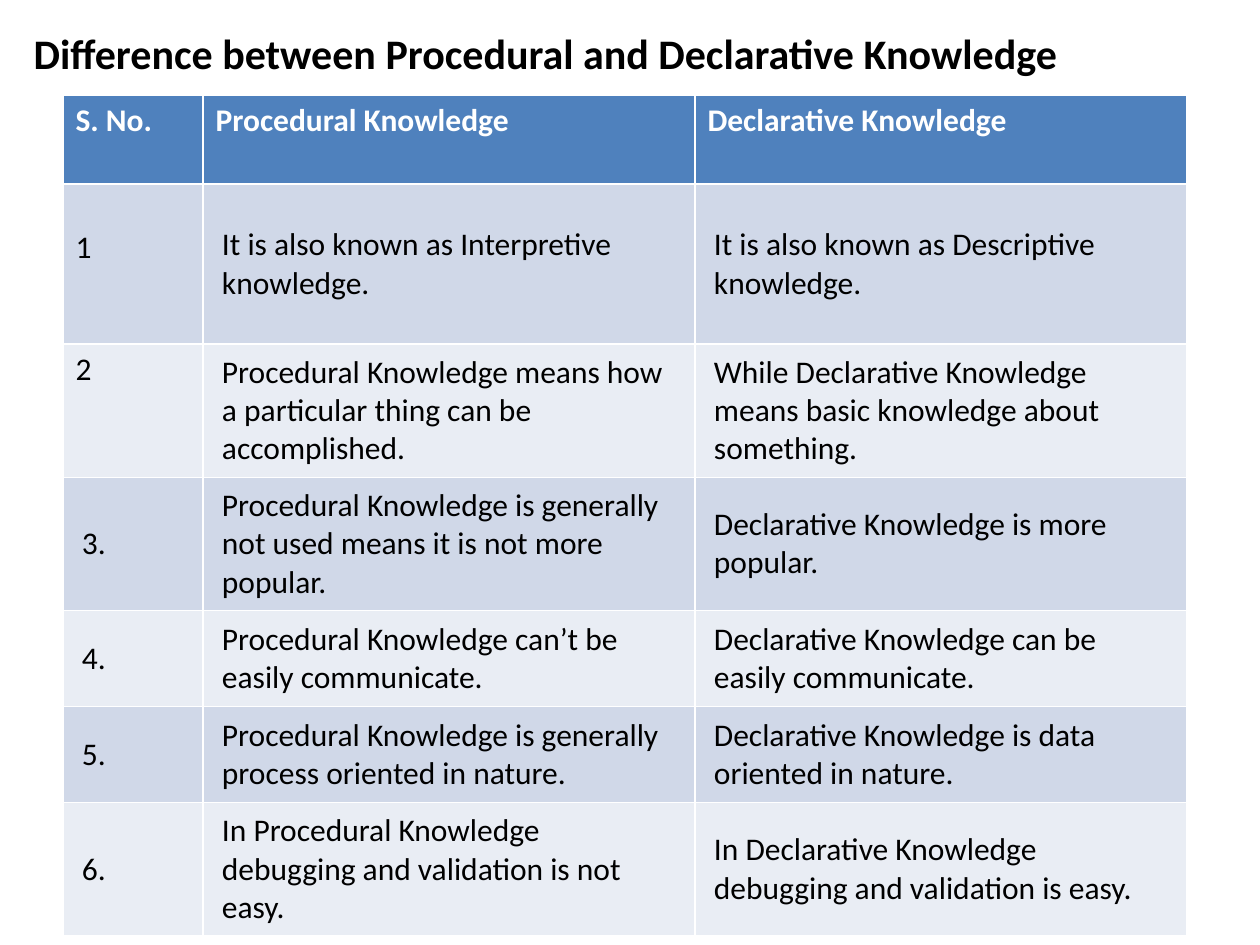
from pptx import Presentation
from pptx.dml.color import RGBColor
from pptx.enum.text import MSO_ANCHOR
from pptx.util import Pt

MIDDLE = MSO_ANCHOR.MIDDLE
TOP = MSO_ANCHOR.TOP


def px(n):
    return round(n * 914400 / 126)


def style(para, size, color, bold):
    font = para.font
    font.name = "Calibri"
    font.size = Pt(size)
    font.bold = bold
    font.color.rgb = RGBColor.from_string(color)


deck = Presentation()
deck.slide_width = px(1260)
deck.slide_height = px(945)
slide = deck.slides.add_slide(deck.slide_layouts[1])
title = slide.shapes.title.element
title.getparent().remove(title)

body = slide.placeholders[1]
body.left, body.top, body.width, body.height = px(21), px(21), px(1218), px(903)
head = body.text_frame.paragraphs[0]
head.text = "Difference between Procedural and Declarative Knowledge"
style(head, 24, "000000", True)
props = head._p.get_or_add_pPr()
props.insert(0, props.makeelement(
    "{http://schemas.openxmlformats.org/drawingml/2006/main}buNone", {}))

rows = [
    ("S. No.", "Procedural Knowledge", "Declarative Knowledge"),
    ("1", "It is also known as Interpretive knowledge.",
     "It is also known as Descriptive knowledge."),
    ("2", "Procedural Knowledge means how a particular thing can be accomplished.",
     "While Declarative Knowledge means basic knowledge about something."),
    ("3.", "Procedural Knowledge is generally not used means it is not more popular.",
     "Declarative Knowledge is more popular."),
    ("4.", "Procedural Knowledge can’t be easily communicate.",
     "Declarative Knowledge can be easily communicate."),
    ("5.", "Procedural Knowledge is generally process oriented in nature.",
     "Declarative Knowledge is data oriented in nature."),
    ("6.", "In Procedural Knowledge debugging and validation is not easy.",
     "In Declarative Knowledge debugging and validation is easy."),
]
widths = [140, 492, 492]
heights = [89, 160, 133, 133, 96, 96, 133]
grid = slide.shapes.add_table(
    len(rows), len(widths), px(63), px(95), px(sum(widths)), px(sum(heights))).table
for col, width in zip(grid.columns, widths):
    col.width = px(width)
for row, height in zip(grid.rows, heights):
    row.height = px(height)

for r, texts in enumerate(rows):
    fill = "4F81BD" if r == 0 else ("E9EDF4", "D0D8E8")[r % 2]
    for c, text in enumerate(texts):
        cell = grid.cell(r, c)
        cell.text = text
        cell.fill.solid()
        cell.fill.fore_color.rgb = RGBColor.from_string(fill)
        style(cell.text_frame.paragraphs[0], 18,
              "FFFFFF" if r == 0 else "000000", r == 0)
        inset = r > 2 or (r > 0 and c > 0)
        cell.vertical_anchor = MIDDLE if inset else TOP
        if inset:
            cell.margin_left = cell.margin_right = px(19)
            cell.margin_top = cell.margin_bottom = px(9)

grid.cell(1, 0).margin_top = px(45)

deck.save("out.pptx")
